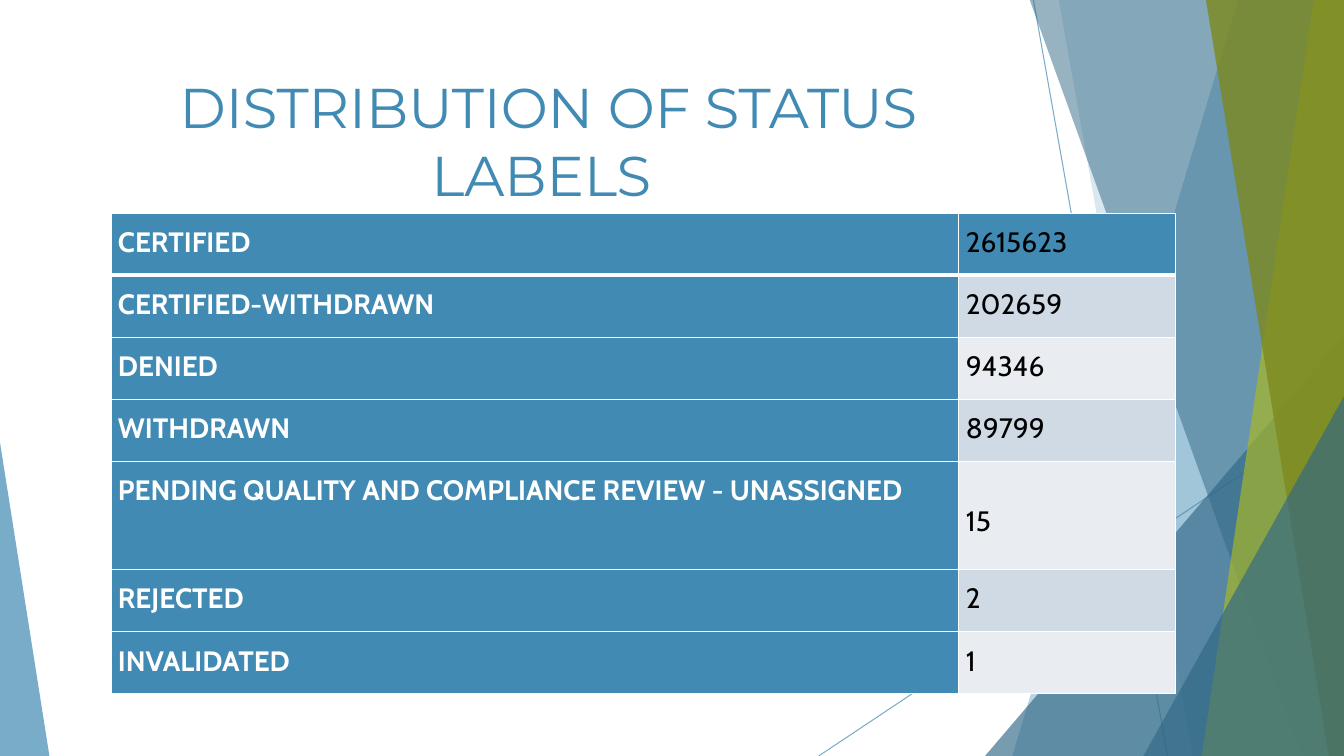
from lxml.etree import SubElement, Element
from pptx import Presentation
from pptx.dml.color import RGBColor
from pptx.enum.shapes import MSO_CONNECTOR, MSO_SHAPE
from pptx.enum.text import MSO_ANCHOR, PP_ALIGN
from pptx.oxml.ns import qn
from pptx.util import Inches, Pt

BLUE = RGBColor(0x41, 0x8A, 0xB3)
NAVY = RGBColor(0x31, 0x68, 0x86)
LIME = RGBColor(0xA6, 0xB7, 0x27)
OLIVE = RGBColor(0x7D, 0x89, 0x1D)
PALE = RGBColor(0xE9, 0xED, 0xF2)
MIST = RGBColor(0xCF, 0xDA, 0xE5)
WHITE = RGBColor(0xFF, 0xFF, 0xFF)
BLACK = RGBColor(0, 0, 0)

WIDE, HIGH, TOP = 13.33, 7.5, -0.01

ROWS = [
    ("CERTIFIED", "2615623", 0.61),
    ("CERTIFIED-WITHDRAWN", "202659", 0.62),
    ("DENIED", "94346", 0.61),
    ("WITHDRAWN", "89799", 0.62),
    ("PENDING QUALITY AND COMPLIANCE REVIEW - UNASSIGNED ", "15", 1.07),
    ("REJECTED", "2", 0.62),
    ("INVALIDATED", "1", 0.61),
]
LONG = 4  # the tall row


class Deck:
    def __init__(self):
        self.show = Presentation()
        self.show.slide_width = Inches(WIDE)
        self.show.slide_height = Inches(HIGH)
        self.slide = self.show.slides.add_slide(self.show.slide_layouts[5])
        self.shapes = self.slide.shapes
        self.head, self.body = "Montserrat", "Cabin"

    def fade(self, shape, alpha):
        for color in shape.element.spPr.iter(qn("a:srgbClr")):
            SubElement(color, qn("a:alpha"), val=str(alpha * 1000))

    def paint(self, shape, color, alpha):
        shape.shadow.inherit = False
        shape.fill.solid()
        shape.fill.fore_color.rgb = color
        shape.line.fill.background()
        self.fade(shape, alpha)

    def line(self, start, end):
        ends = [Inches(v) for v in (*start, *end)]
        line = self.shapes.add_connector(MSO_CONNECTOR.STRAIGHT, *ends)
        line.line.color.rgb = BLUE
        line.line.width = Pt(0.75)
        self.fade(line, 70)
        SubElement(line.element.spPr, qn("a:effectLst"))

    def band(self, top, foot, color, alpha):
        """Slanted band from a left edge out to the right side of the slide."""
        first, *rest = [(Inches(x), Inches(y)) for x, y in
                        ((top, TOP), (WIDE, TOP), (WIDE, HIGH), (foot, HIGH))]
        form = self.shapes.build_freeform(*first)
        form.add_line_segments(rest, close=True)
        self.paint(form.convert_to_shape(), color, alpha)

    def wedge(self, left, top, width, peak, color, alpha):
        """Right triangle that stands on the foot of the slide."""
        box = [Inches(v) for v in (left, top, width, HIGH - top)]
        shape = self.shapes.add_shape(MSO_SHAPE.ISOSCELES_TRIANGLE, *box)
        shape.adjustments[0] = peak
        self.paint(shape, color, alpha)

    def title(self, text, left, top, width, height):
        title = self.shapes.title
        title.left, title.top = Inches(left), Inches(top)
        title.width, title.height = Inches(width), Inches(height)
        frame = title.text_frame
        frame.text = text
        frame.word_wrap = True
        frame.vertical_anchor = MSO_ANCHOR.MIDDLE
        para = frame.paragraphs[0]
        para.alignment = PP_ALIGN.CENTER
        para.font.name, para.font.size = self.head, Pt(40)
        para.font.color.rgb = BLUE
        title.element.getparent().append(title.element)  # bring to front

    def edge(self, cell, **wide):
        """White cell borders, one point unless a side is given in wide."""
        props = cell._tc.get_or_add_tcPr()
        for i, side in enumerate("LRTB"):
            line = Element(qn("a:ln" + side), w=str(Pt(wide.get(side, 1))))
            fill = SubElement(line, qn("a:solidFill"))
            SubElement(fill, qn("a:srgbClr"), val=str(WHITE))
            props.insert(i, line)

    def cell(self, cell, text, color, ink, bold):
        cell.text = text
        cell.fill.solid()
        cell.fill.fore_color.rgb = color
        cell.margin_left = cell.margin_top = Inches(0.07)
        cell.margin_right, cell.margin_bottom = Inches(0.05), 0
        para = cell.text_frame.paragraphs[0]
        para.line_spacing = 1.15
        font = para.font
        font.name, font.size, font.bold = self.body, Pt(20), bold
        font.color.rgb = ink

    def table(self, rows, left, top, cols):
        high = sum(row[2] for row in rows)
        box = [Inches(v) for v in (left, top, sum(cols), high)]
        table = self.shapes.add_table(len(rows), len(cols), *box).table
        for col, width in zip(table.columns, cols):
            col.width = Inches(width)
        for r, (label, count, height) in enumerate(rows):
            table.rows[r].height = Inches(height)
            tint = BLUE if r == 0 else MIST if r % 2 else PALE
            self.cell(table.cell(r, 0), label, BLUE, WHITE, True)
            self.cell(table.cell(r, 1), count, tint, BLACK, False)
            wide = {0: {"B": 3}, 1: {"T": 3}}.get(r, {})
            for cell in table.rows[r].cells:
                self.edge(cell, **wide)
        return table


def main():
    deck = Deck()

    # Background facets, back to front
    deck.line((10.25, 0), (11.58, HIGH))
    deck.line((WIDE, 4.03), (8.12, HIGH))
    deck.band(12.28, 10.04, BLUE, 36)
    deck.band(10.5, 11.83, BLUE, 20)
    deck.wedge(9.77, 3.33, 3.56, 1, NAVY, 66)
    deck.band(10.21, 12.91, NAVY, 50)
    deck.band(13.03, 11.92, LIME, 70)
    deck.band(11.96, 13.18, OLIVE, 80)
    deck.wedge(11.34, 3.93, 1.99, 1, NAVY, 66)
    deck.wedge(0, 4.39, 0.49, 0, BLUE, 70)

    # Title
    deck.title("DISTRIBUTION OF STATUS LABELS ", 0.74, 0.67, 9.4, 1.44)

    # Status counts
    table = deck.table(ROWS, 1.1, 2.12, (8.41, 2.15))
    label, count = table.rows[LONG].cells
    label.text_frame.paragraphs[0].alignment = PP_ALIGN.JUSTIFY
    count.vertical_anchor = MSO_ANCHOR.MIDDLE

    deck.show.save("out.pptx")


if __name__ == "__main__":
    main()
